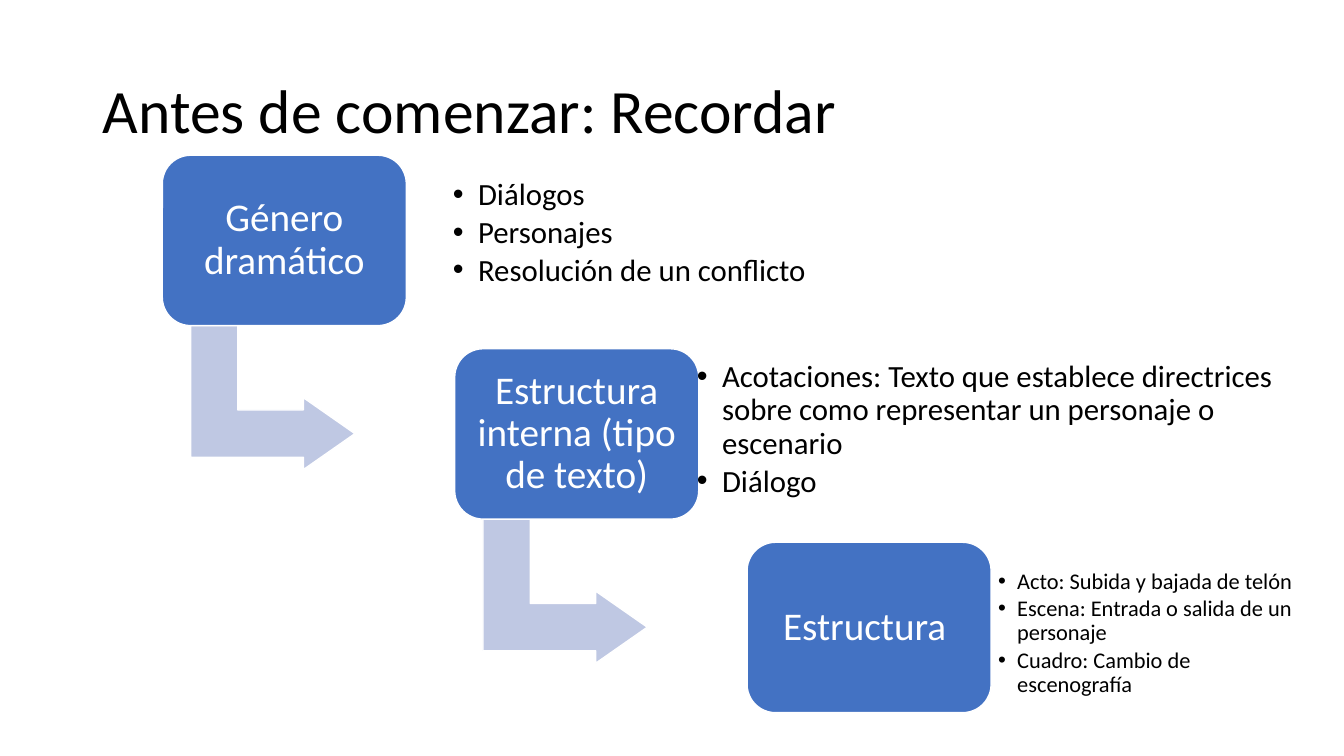
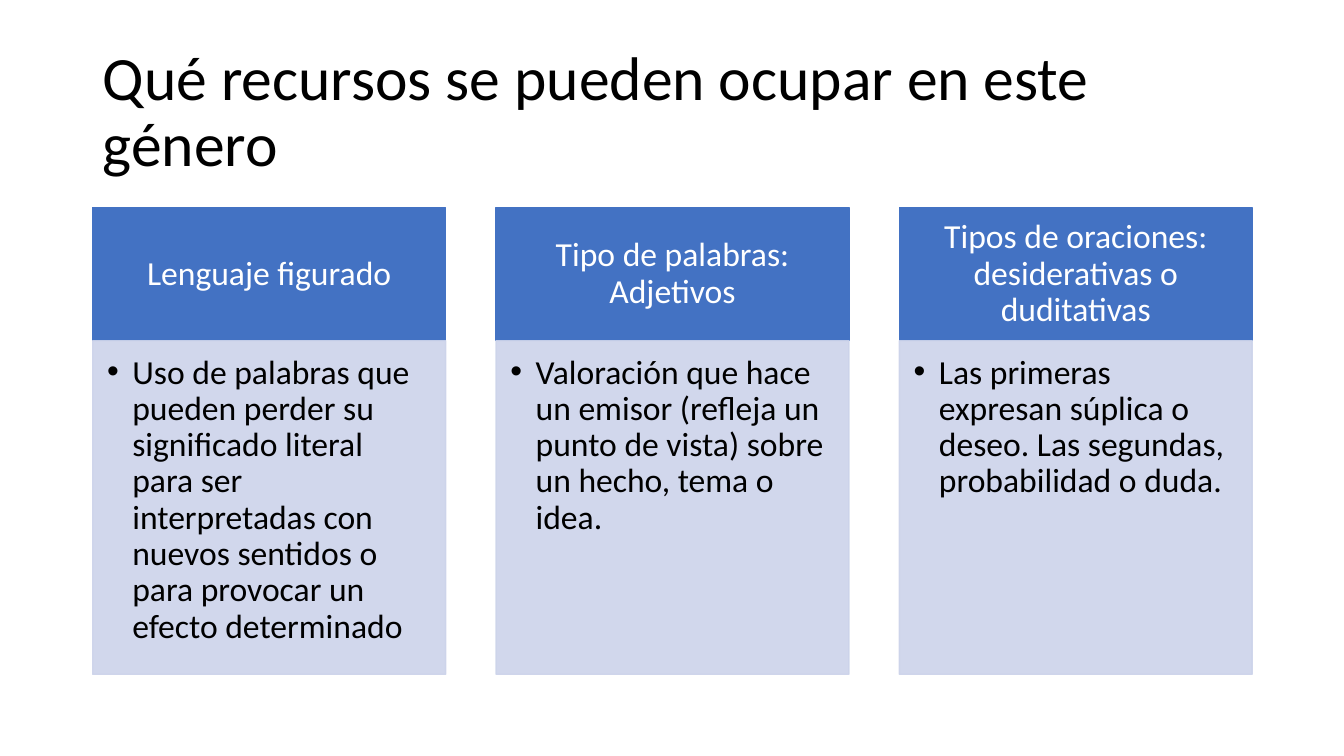
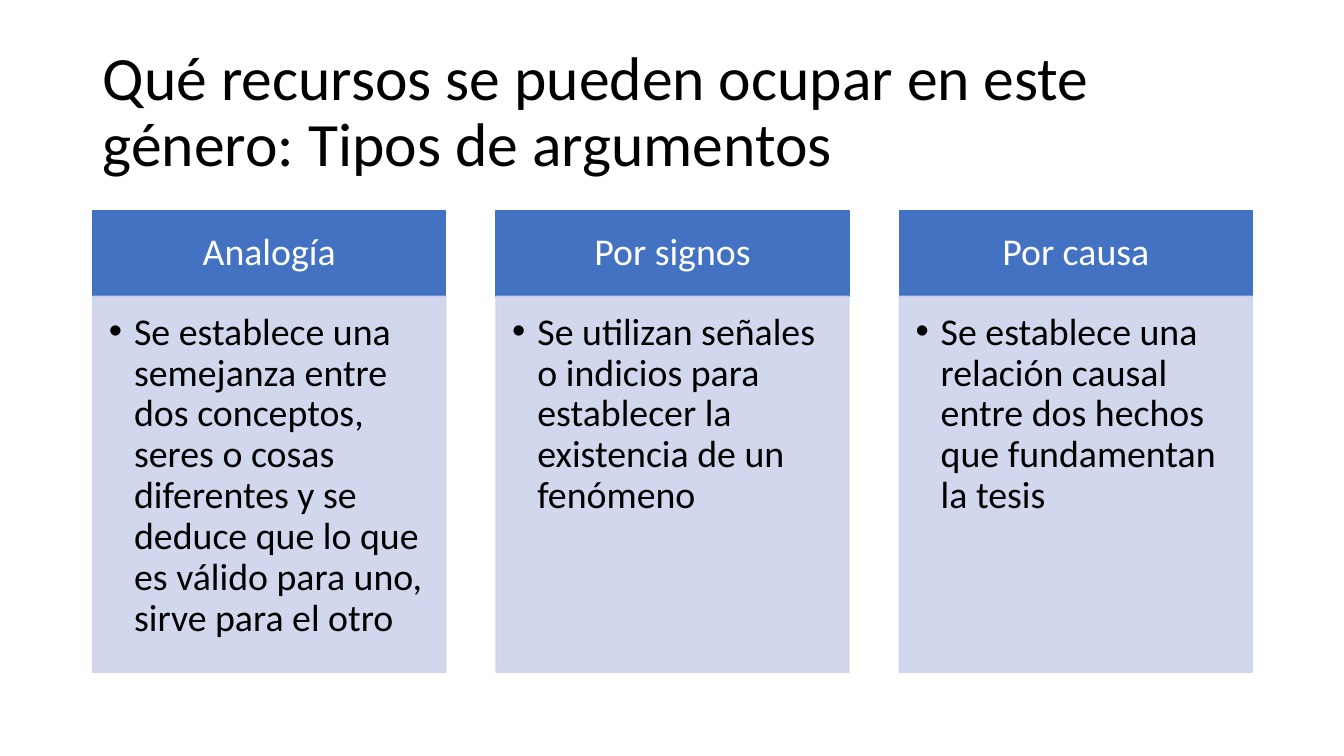
from lxml.etree import SubElement
from pptx import Presentation
from pptx.dml.color import RGBColor
from pptx.enum.shapes import MSO_SHAPE
from pptx.enum.text import MSO_ANCHOR, MSO_AUTO_SIZE, PP_ALIGN
from pptx.oxml.ns import qn
from pptx.util import Inches, Pt

FONT = "Calibri"
BLACK, WHITE = "000000", "FFFFFF"
BLUE, ARROW_BLUE, PALE_BLUE = "4372C3", "BFC8E3", "CCD3EA"
CONTENT_LEFT, CONTENT_WIDTH = 0.92, 11.5
TITLE_BOX = (CONTENT_LEFT, 0.4, CONTENT_WIDTH, 1.45)
COLUMN_WIDTH = 3.5

STEP_LEFT, STEP_TOP = 1.61, 1.54
STEP_ACROSS, STEP_DOWN = 2.9, 1.92
STEP_WIDTH, STEP_HEIGHT = 2.42, 1.69

# Heading, details, text size, box of the details relative to its step
STEPS = [
    ("Género dramático",
     ["Diálogos", "Personajes", "Resolución de un conflicto"],
     22, (2.76, 0.09, 5.47, 1.37)),
    ("Estructura interna (tipo de texto)",
     ["Acotaciones: Texto que establece directrices sobre como representar "
      "un personaje o escenario", "Diálogo"],
     22, (2.28, -0.09, 6.2, 1.79)),
    ("Estructura ",
     ["Acto: Subida y bajada de telón",
      "Escena: Entrada o salida de un personaje",
      "Cuadro: Cambio de escenografía"],
     16, (2.4, 0.12, 3.19, 1.57)),
]
RESOURCES = [
    ("Lenguaje figurado",
     "Uso de palabras que pueden perder su significado literal para ser "
     "interpretadas con nuevos sentidos o para provocar un efecto determinado"),
    ("Tipo de palabras: Adjetivos",
     "Valoración que hace un emisor (refleja un punto de vista) sobre un "
     "hecho, tema o idea."),
    ("Tipos de oraciones: desiderativas o duditativas",
     "Las primeras expresan súplica o deseo. Las segundas, probabilidad o duda."),
]
ARGUMENTS = [
    ("Analogía",
     "Se establece una semejanza entre dos conceptos, seres o cosas diferentes "
     "y se deduce que lo que es válido para uno, sirve para el otro"),
    ("Por signos",
     "Se utilizan señales o indicios para establecer la existencia de un fenómeno"),
    ("Por causa",
     "Se establece una relación causal entre dos hechos que fundamentan la tesis"),
]


def color(hex_string):
    return RGBColor.from_string(hex_string)


def inches(box):
    return [Inches(length) for length in box]


def add_block(slide, preset, box, fill, line, opacity=100):
    block = slide.shapes.add_shape(preset, *inches(box))
    block.shadow.inherit = False
    block.fill.solid()
    block.fill.fore_color.rgb = color(fill)
    block.line.color.rgb = color(line)
    block.line.width = Pt(1)
    if opacity < 100:
        for tint in block._element.spPr.iter(qn("a:srgbClr")):
            SubElement(tint, qn("a:alpha"), val=str(opacity * 1000))
    return block


def write(frame, lines, size, ink, align=PP_ALIGN.LEFT, anchor=MSO_ANCHOR.MIDDLE,
          margins=(0.1, 0.05, 0.1, 0.05), bullet_indent=0):
    frame.word_wrap = True
    frame.auto_size = MSO_AUTO_SIZE.NONE
    frame.vertical_anchor = anchor
    (frame.margin_left, frame.margin_top,
     frame.margin_right, frame.margin_bottom) = inches(margins)
    frame.text = "\n".join(lines)
    for number, paragraph in enumerate(frame.paragraphs):
        paragraph.alignment = align
        paragraph.line_spacing = 0.9
        paragraph.space_before = Pt(round(size * 0.15, 1) if number else 0)
        if bullet_indent:
            add_bullet(paragraph, bullet_indent)
        paragraph.font.name = FONT
        paragraph.font.size = Pt(size)
        paragraph.font.color.rgb = color(ink)


def add_bullet(paragraph, indent):
    properties = paragraph._p.get_or_add_pPr()
    properties.set("marL", str(Inches(indent)))
    properties.set("indent", str(-Inches(indent)))
    ink = SubElement(properties, qn("a:buClr"))
    SubElement(ink, qn("a:srgbClr"), val=BLACK)
    SubElement(properties, qn("a:buFont"), typeface="Arial")
    SubElement(properties, qn("a:buChar"), char="•")


def add_titled_slide(deck, title):
    slide = deck.slides.add_slide(deck.slide_layouts.get_by_name("Title Only"))
    heading = slide.shapes.title
    heading.left, heading.top, heading.width, heading.height = inches(TITLE_BOX)
    write(heading.text_frame, [title], 44, BLACK)
    return slide


def add_step(slide, left, top, heading, details, size, details_box):
    step = add_block(slide, MSO_SHAPE.ROUNDED_RECTANGLE,
                     (left, top, STEP_WIDTH, STEP_HEIGHT), BLUE, WHITE)
    write(step.text_frame, [heading], 28, WHITE, PP_ALIGN.CENTER, margins=[0.12] * 4)
    across, down, width, height = details_box
    notes = slide.shapes.add_textbox(*inches((left + across, top + down, width, height)))
    write(notes.text_frame, details, size, BLACK, margins=[size / 180] * 4,
          bullet_indent=0.25 if size > 20 else 0.19)


def add_step_arrow(slide, left, top):
    """Turned arrow below the step at left, top, pointing to the next one."""
    arrow = add_block(slide, MSO_SHAPE.BENT_UP_ARROW,
                      (left + 0.38, top + 1.59, 1.43, 1.63), ARROW_BLUE, WHITE)
    arrow.rotation = 90
    for index, share in enumerate((0.328, 0.25, 0.358)):
        arrow.adjustments[index] = share


def add_steps_slide(deck, title, steps):
    slide = add_titled_slide(deck, title)
    for index, step in enumerate(steps):
        left, top = STEP_LEFT + index * STEP_ACROSS, STEP_TOP + index * STEP_DOWN
        if index < len(steps) - 1:
            add_step_arrow(slide, left, top)
        add_step(slide, left, top, *step)


def add_column(slide, box, head_height, heading, description, size):
    left, top, width, height = box
    unit = size / 168
    head = add_block(slide, MSO_SHAPE.RECTANGLE, (left, top, width, head_height),
                     BLUE, BLUE)
    write(head.text_frame, [heading], size, WHITE, PP_ALIGN.CENTER,
          margins=[unit * share for share in (1.33, 0.75, 1.33, 0.75)])
    body = add_block(slide, MSO_SHAPE.RECTANGLE,
                     (left, top + head_height, width, height - head_height),
                     PALE_BLUE, PALE_BLUE, opacity=90)
    write(body.text_frame, [description], size, BLACK, anchor=MSO_ANCHOR.TOP,
          margins=[unit * share for share in (1, 1, 1.33, 1.5)], bullet_indent=0.25)


def add_columns_slide(deck, title, columns, top, height, head_height, size):
    slide = add_titled_slide(deck, title)
    pitch = (CONTENT_WIDTH - COLUMN_WIDTH) / (len(columns) - 1)
    for index, (heading, description) in enumerate(columns):
        box = (CONTENT_LEFT + index * pitch, top, COLUMN_WIDTH, height)
        add_column(slide, box, head_height, heading, description, size)


def main():
    deck = Presentation()
    deck.slide_width, deck.slide_height = Inches(13.33), Inches(7.5)
    add_steps_slide(deck, "Antes de comenzar: Recordar", STEPS)
    add_columns_slide(deck, "Qué recursos se pueden ocupar en este género",
                      RESOURCES, top=2.06, height=4.63, head_height=1.32, size=24)
    add_columns_slide(deck,
                      "Qué recursos se pueden ocupar en este género: Tipos de argumentos",
                      ARGUMENTS, top=2.09, height=4.58, head_height=0.85, size=27)
    deck.save("out.pptx")


if __name__ == "__main__":
    main()
